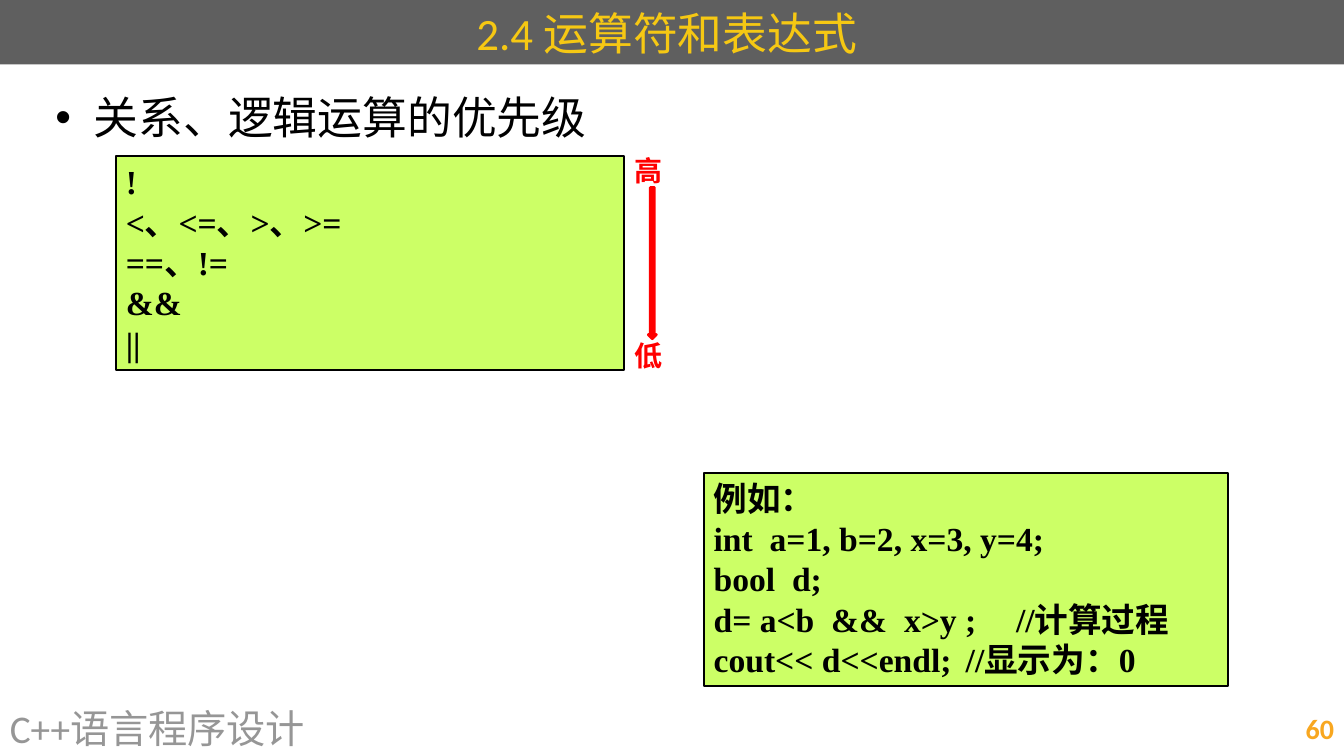
from dataclasses import dataclass

from lxml.etree import SubElement
from pptx import Presentation
from pptx.dml.color import RGBColor
from pptx.enum.shapes import MSO_SHAPE
from pptx.enum.text import MSO_ANCHOR, MSO_AUTO_SIZE, PP_ALIGN
from pptx.oxml.ns import qn
from pptx.util import Inches, Pt


@dataclass(frozen=True)
class Theme:
    sans: str = "Calibri"
    serif: str = "Times New Roman"
    black: str = "000000"
    bar: str = "5F5F5F"
    title: str = "F6C813"
    footer: str = "969696"
    number: str = "F8A720"
    panel: str = "CCFF66"
    accent: str = "FF0000"
    heading_size: int = 32
    footer_size: int = 28
    code_size: int = 24
    label_size: int = 20


THEME = Theme()


def rgb(value):
    return RGBColor.from_string(value)


def place(s, left, top, width, height):
    s.left, s.top = Inches(left), Inches(top)
    s.width, s.height = Inches(width), Inches(height)


def paint(s, fill, line, width):
    s.shadow.inherit = False
    s.fill.solid()
    s.fill.fore_color.rgb = rgb(fill)
    s.line.color.rgb = rgb(line)
    s.line.width = Pt(width)


def write(tf, lines, size, color, font=THEME.sans, bold=False,
          align=PP_ALIGN.LEFT, anchor=MSO_ANCHOR.TOP, wrap=True):
    tf.word_wrap = wrap
    tf.auto_size = MSO_AUTO_SIZE.NONE
    tf.vertical_anchor = anchor
    for i, line in enumerate(lines):
        p = tf.add_paragraph() if i else tf.paragraphs[0]
        p.alignment = align
        r = p.add_run()
        r.text = line
        r.font.name, r.font.size, r.font.bold = font, Pt(size), bold
        r.font.color.rgb = rgb(color)


def add_title(slide, text):
    s = slide.shapes.title
    place(s, 0, 0, 13.33, 0.64)
    s.fill.solid()
    s.fill.fore_color.rgb = rgb(THEME.bar)
    write(s.text_frame, [text], THEME.heading_size, THEME.title,
          align=PP_ALIGN.CENTER, anchor=MSO_ANCHOR.MIDDLE)


def add_text(slide, box, text, size, color, **style):
    s = slide.shapes.add_textbox(*map(Inches, box))
    write(s.text_frame, [text], size, color, **style)
    return s


def add_bullet(slide, box, text):
    s = add_text(slide, box, text, THEME.heading_size, THEME.black)
    pPr = s.text_frame.paragraphs[0]._p.get_or_add_pPr()
    pPr.set("marL", str(Inches(0.38)))
    pPr.set("indent", str(-Inches(0.38)))
    SubElement(pPr, qn("a:buFont")).set("typeface", "Arial")
    SubElement(pPr, qn("a:buChar")).set("char", "•")


def add_panel(slide, box, lines):
    s = slide.shapes.add_shape(MSO_SHAPE.RECTANGLE, *map(Inches, box))
    paint(s, THEME.panel, THEME.black, 1.5)
    write(s.text_frame, lines, THEME.code_size, THEME.black,
          font=THEME.serif, bold=True)


def add_priority_arrow(slide):
    s = slide.shapes.add_shape(MSO_SHAPE.DOWN_ARROW, Inches(6.43),
                               Inches(1.86), Inches(0.08), Inches(1.5))
    paint(s, THEME.accent, THEME.accent, 2)
    for text, top in (("高", 1.47), ("低", 3.31)):
        add_text(slide, (6.19, top, 0.48, 0.44), text, THEME.label_size,
                 THEME.accent, bold=True, wrap=False)


def main():
    prs = Presentation()
    prs.slide_width, prs.slide_height = Inches(13.33), Inches(7.5)
    slide = prs.slides.add_slide(prs.slide_layouts[5])

    # Heading and topic
    add_title(slide, "2.4 运算符和表达式 ")
    add_bullet(slide, (0.45, 0.84, 12.13, 0.7), "关系、逻辑运算的优先级")

    # Operators from high to low priority
    add_panel(slide, (1.15, 1.55, 5.04, 2.12),
              ["!", "<、<=、>、>=", "==、!=", "&&", "||"])
    add_priority_arrow(slide)

    # Worked example
    add_panel(slide, (6.98, 4.69, 5.2, 2.12), [
        "例如：",
        "int  a=1, b=2, x=3, y=4;",
        "bool  d;",
        "d= a<b  &&  x>y ;\t//计算过程",
        "cout<< d<<endl;\t//显示为：0",
    ])

    # Footer
    add_text(slide, (0, 6.95, 8.78, 0.55), "C++语言程序设计",
             THEME.footer_size, THEME.footer, anchor=MSO_ANCHOR.MIDDLE)
    add_text(slide, (9.55, 6.95, 3.78, 0.55), "60", THEME.label_size,
             THEME.number, bold=True, align=PP_ALIGN.RIGHT,
             anchor=MSO_ANCHOR.MIDDLE)

    prs.save("out.pptx")


if __name__ == "__main__":
    main()
